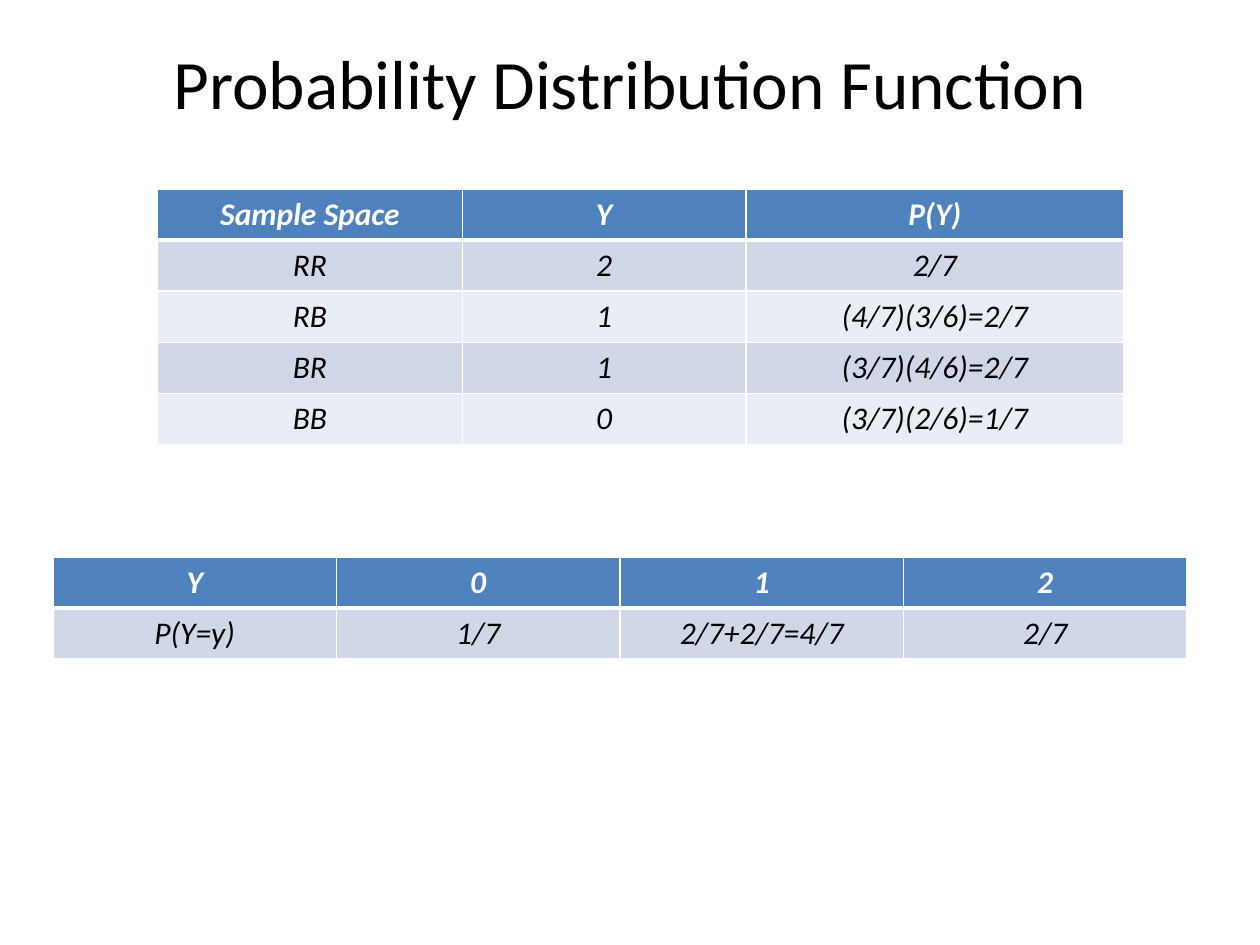
import dataclasses

import lxml.etree
import pptx
import pptx.dml.color
import pptx.enum.text
import pptx.oxml.ns
import pptx.util

Inches = pptx.util.Inches


@dataclasses.dataclass(frozen=True)
class Theme:
    """Colours, font and type sizes of the slide."""
    font: str = "Calibri"
    title_size: float = 39.6
    table_size: float = 18
    ink: str = "000000"
    paper: str = "FFFFFF"
    header: str = "4F81BD"
    bands: tuple = ("D0D8E8", "E9EDF4")
    thin: float = 1
    thick: float = 3


THEME = Theme()


def write_text(frame, text, size, color, bold=False, italic=False):
    """Fill a text frame with one centred, formatted paragraph."""
    para = frame.paragraphs[0]
    para.alignment = pptx.enum.text.PP_ALIGN.CENTER
    span = para.add_run()
    span.text = text
    font = span.font
    font.name, font.size = THEME.font, pptx.util.Pt(size)
    font.bold, font.italic = bold, italic
    font.color.rgb = pptx.dml.color.RGBColor.from_string(color)


def set_borders(cell, widths):
    """Draw the cell's sides; widths are points for left, right, top, bottom."""
    qn = pptx.oxml.ns.qn
    properties = cell._tc.get_or_add_tcPr()
    for side, width in zip("LRTB", widths):
        line = lxml.etree.SubElement(
            properties, qn(f"a:ln{side}"), w=str(pptx.util.Pt(width)))
        fill = lxml.etree.SubElement(line, qn("a:solidFill"))
        lxml.etree.SubElement(fill, qn("a:srgbClr"), val=THEME.paper)


def add_title(page, text, left, top, width, height):
    """Place and format the title placeholder."""
    title = page.shapes.title
    title.left, title.top = Inches(left), Inches(top)
    title.width, title.height = Inches(width), Inches(height)
    title.text_frame.vertical_anchor = pptx.enum.text.MSO_ANCHOR.MIDDLE
    write_text(title.text_frame, text, THEME.title_size, THEME.ink)


def add_banded_table(page, rows, left, top, column_widths, height):
    """Add a table with a blue header row and alternating body rows."""
    table = page.shapes.add_table(
        len(rows), len(column_widths), Inches(left), Inches(top),
        Inches(sum(column_widths)), Inches(height)).table
    for column, width in zip(table.columns, column_widths):
        column.width = Inches(width)
    for row_index, texts in enumerate(rows):
        is_header = row_index == 0
        color = THEME.paper if is_header else THEME.ink
        fill = THEME.header if is_header else THEME.bands[(row_index - 1) % 2]
        above = THEME.thick if row_index == 1 else THEME.thin
        below = THEME.thick if is_header else THEME.thin
        for column_index, text in enumerate(texts):
            cell = table.cell(row_index, column_index)
            write_text(cell.text_frame, text, THEME.table_size, color,
                       bold=is_header, italic=True)
            set_borders(cell, (THEME.thin, THEME.thin, above, below))
            cell.fill.solid()
            cell.fill.fore_color.rgb = pptx.dml.color.RGBColor.from_string(fill)


def build_page(deck):
    """Compose the title, the sample space and the distribution."""
    page = deck.slides.add_slide(deck.slide_layouts[5])
    add_title(page, "Probability Distribution Function", 0.5, 0.3, 9, 0.7)
    distribution = [
        ("Y", "0", "1", "2"),
        ("P(Y=y)", "1/7", "2/7+2/7=4/7", "2/7"),
    ]
    add_banded_table(page, distribution, 0.42, 4.42, [2.25] * 4, 0.81)
    sample_space = [
        ("Sample Space", "Y", "P(Y)"),
        ("RR", "2", "2/7"),
        ("RB", "1", "(4/7)(3/6)=2/7"),
        ("BR", "1", "(3/7)(4/6)=2/7"),
        ("BB", "0", "(3/7)(2/6)=1/7"),
    ]
    add_banded_table(page, sample_space, 1.25, 1.5, [2.42, 2.25, 3], 2.02)


deck = pptx.Presentation()
deck.slide_width, deck.slide_height = Inches(10), Inches(7.5)
build_page(deck)
deck.save("out.pptx")
